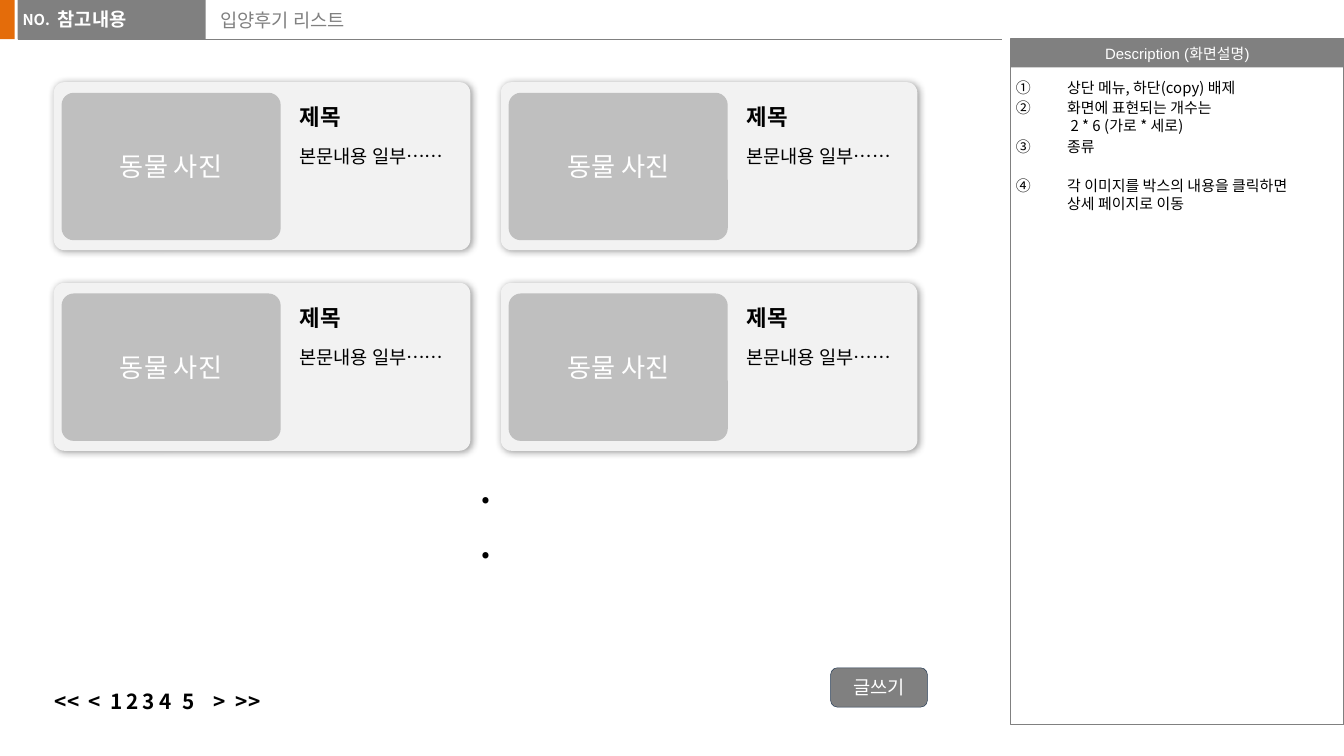
from dataclasses import dataclass
from typing import Optional

from lxml import etree
from pptx import Presentation
from pptx import util as u
from pptx.dml.color import RGBColor
from pptx.enum import shapes, text
from pptx.oxml import ns

SANS = "Noto Sans CJK KR"
GRAY, WHITE, BLACK = "808080", "FFFFFF", "000000"
LEFT, CENTER = text.PP_ALIGN.LEFT, text.PP_ALIGN.CENTER
TOP, MIDDLE = text.MSO_ANCHOR.TOP, text.MSO_ANCHOR.MIDDLE
RECT = shapes.MSO_SHAPE.RECTANGLE
ROUND = shapes.MSO_SHAPE.ROUNDED_RECTANGLE


@dataclass
class Area:
    left: float
    top: float
    width: float
    height: float

    def lengths(self) -> list:
        return [u.Pt(v) for v in (self.left, self.top, self.width, self.height)]

    def shifted(self, dx: float, dy: float) -> "Area":
        return Area(self.left + dx, self.top + dy, self.width, self.height)


@dataclass
class Style:
    size: float
    color: str = BLACK
    bold: bool = False
    align: text.PP_ALIGN = LEFT
    anchor: text.MSO_ANCHOR = TOP
    font: str = SANS
    leading: float = 1.2
    before: float = 0
    insets: tuple = (7.2, 3.6, 7.2, 3.6)
    wrap: bool = True


def color(value: str) -> RGBColor:
    return RGBColor.from_string(value)


def child(parent, tag: str, **attributes):
    return etree.SubElement(parent, ns.qn(tag), attributes)


def write(box, lines: list, style: Style) -> None:
    frame = box.text_frame
    frame.text = "\n".join(lines)
    frame.auto_size = text.MSO_AUTO_SIZE.NONE
    frame.word_wrap = style.wrap
    frame.vertical_anchor = style.anchor
    (frame.margin_left, frame.margin_top,
     frame.margin_right, frame.margin_bottom) = map(u.Pt, style.insets)
    for para in frame.paragraphs:
        para.alignment = style.align
        para.line_spacing = u.Pt(round(style.size * style.leading, 1))
        para.space_before = u.Pt(style.before)
        for span in para.runs:
            span.font.size = u.Pt(style.size)
            span.font.bold = style.bold
            span.font.name = style.font
            span.font.color.rgb = color(style.color)
            child(span.font._element, "a:ea", typeface=SANS)


def add_text(page, area: Area, lines: list, style: Style):
    box = page.shapes.add_textbox(*area.lengths())
    write(box, lines, style)
    return box


def add_box(page, kind, area: Area, fill: Optional[str] = None,
            line: Optional[str] = None, weight: float = 0.75,
            corner: Optional[float] = None):
    box = page.shapes.add_shape(kind, *area.lengths())
    box.shadow.inherit = False
    if fill:
        box.fill.solid()
        box.fill.fore_color.rgb = color(fill)
    else:
        box.fill.background()
    if line:
        box.line.color.rgb = color(line)
        box.line.width = u.Pt(weight)
    else:
        box.line.fill.background()
    if corner is not None:
        box.adjustments[0] = corner
    return box


def add_shadow(box) -> None:
    effects = box._element.spPr.find(ns.qn("a:effectLst"))
    shadow = child(effects, "a:outerShdw", blurRad=str(u.Pt(4)),
                   dist=str(u.Pt(1)), dir=str(45 * 60000), rotWithShape="0")
    child(child(shadow, "a:srgbClr", val=BLACK), "a:alpha", val="40000")


def fill_placeholder(holder, area: Area, lines: list, style: Style,
                     numbering: Optional[str] = None) -> None:
    holder.left, holder.top, holder.width, holder.height = area.lengths()
    holder.element.getparent().append(holder.element)  # bring to the front
    write(holder, lines, style)
    hanging = u.Pt(27.4) if numbering else 0
    for para in holder.text_frame.paragraphs:
        properties = para._p.get_or_add_pPr()
        properties.set("marL", str(hanging))
        properties.set("indent", str(-hanging))
        if numbering:
            child(properties, "a:buAutoNum", type=numbering)
        else:
            child(properties, "a:buNone")


def add_card(page, dx: float, dy: float) -> None:
    card = page.shapes.add_group_shape()
    panel = add_box(card, ROUND, Area(28.8, 44, 223.2, 90).shifted(dx, dy),
                    "F2F2F2", corner=0.064)
    add_shadow(panel)
    photo = add_box(card, ROUND, Area(33, 49.7, 117.4, 79).shifted(dx, dy),
                    "BFBFBF", corner=0.083)
    write(photo, ["동물 사진"],
          Style(14, WHITE, align=CENTER, anchor=MIDDLE))
    add_text(card, Area(120.2, 51.8, 103, 21.6).shifted(dx, dy), ["제목"],
             Style(12, bold=True, align=CENTER))
    add_text(card, Area(153.4, 62, 110.2, 31.7).shifted(dx, dy),
             ["본문내용 일부……"], Style(10, insets=(7.2, 15.6, 7.2, 3.6)))


def main() -> None:
    deck = Presentation()
    deck.slide_width, deck.slide_height = u.Pt(720), u.Pt(405)
    page = deck.slides.add_slide(deck.slide_layouts[3])
    heading, category, notes = page.placeholders

    # Header bar
    add_box(page, RECT, Area(-0.7, 0, 8.6, 21), "E46C0A")
    rule = page.shapes.add_connector(
        shapes.MSO_CONNECTOR.STRAIGHT,
        u.Pt(9.4), u.Pt(21), u.Pt(537), u.Pt(21))
    rule.line.color.rgb = color(GRAY)
    rule.line.width = u.Pt(0.5)
    child(rule._element.spPr, "a:effectLst")
    add_box(page, RECT, Area(9.4, 0, 100.8, 21), GRAY)
    add_text(page, Area(5, 2.2, 29.5, 17.3), ["NO."],
             Style(8, WHITE, bold=True, wrap=False))
    fill_placeholder(heading, Area(110.9, 1.4, 425.5, 23), ["입양후기 리스트"],
                     Style(10, GRAY))
    fill_placeholder(category, Area(31, 0.7, 62.6, 22.3), ["참고내용"],
                     Style(10, WHITE, bold=True, font="Arial",
                           insets=(0, 3.6, 0, 3.6)))

    # Description panel
    caption = add_box(page, RECT, Area(541.4, 21, 178.6, 15.1), GRAY)
    write(caption, ["Description (화면설명)"],
          Style(8, WHITE, align=CENTER, anchor=MIDDLE, font="Arial",
                wrap=False))
    add_box(page, RECT, Area(541.4, 21, 178.6, 367.2), line=GRAY)
    fill_placeholder(
        notes, Area(541.4, 38.2, 178.6, 351.4),
        ["상단 메뉴, 하단(copy) 배제",
         "화면에 표현되는 개수는\v 2 * 6 (가로 * 세로)",
         "종류",
         "각 이미지를 박스의 내용을 클릭하면\v상세 페이지로 이동"],
        Style(8, before=1.6, insets=(2.9, 3.6, 0, 3.6)),
        numbering="circleNumDbPlain")
    notes.text_frame.paragraphs[-1].space_before = u.Pt(11.2)

    # Review cards, two by two
    for row in range(2):
        for column in range(2):
            add_card(page, column * 239.5, row * 107.5)

    # Continuation dots
    add_text(page, Area(54.7, 250.6, 411, 44), [".", "."],
             Style(18, bold=True, align=CENTER, leading=1.08, before=10))

    # Page navigation
    pager = add_text(page, Area(20.2, 368, 411, 18),
                     ["\t".join("<< < 1 2 3 4 5 > >>".split())],
                     Style(11.1, bold=True, leading=0.96,
                           insets=(9.2, 3.6, 7.2, 3.6)))
    stops = child(pager.text_frame.paragraphs[0]._p.get_or_add_pPr(),
                  "a:tabLst")
    for position in (18, 29.5, 38.5, 47, 56, 68.5, 85, 97):
        child(stops, "a:tab", pos=str(u.Pt(position)), algn="l")

    # Write button
    button = add_box(page, ROUND, Area(445, 357.8, 51.8, 21), GRAY,
                     line="233953", weight=0.25)
    write(button, ["글쓰기"],
          Style(10, WHITE, align=CENTER, anchor=MIDDLE))

    deck.save("out.pptx")


if __name__ == "__main__":
    main()
